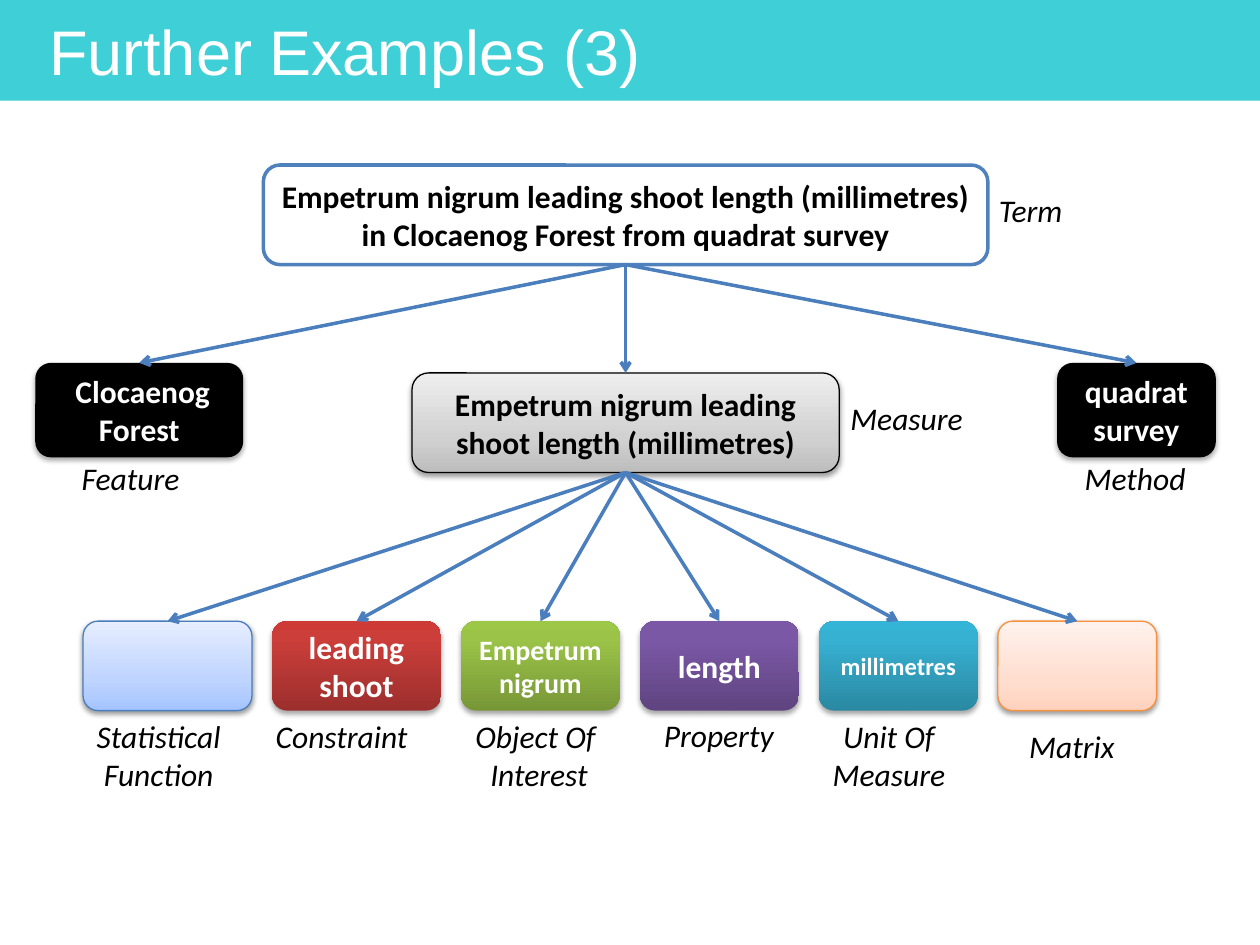
from pptx import Presentation
from pptx.dml.color import RGBColor
from pptx.enum.shapes import MSO_CONNECTOR, MSO_SHAPE
from pptx.enum.text import MSO_ANCHOR, MSO_AUTO_SIZE, PP_ALIGN
from pptx.oxml.ns import qn
from pptx.util import Inches, Pt
from lxml.etree import SubElement

TOP, BOTTOM = 0, 2
ARROW_BLUE = "4B7EBC"
GREY = [(0, "BDBDBD"), (35, "D1D1D1"), (100, "EEEEEE")]
COMPONENT_GAP = 0.16
# text, size, width, gradient, outline, label, label offset, label width
COMPONENTS = [
    ("", 18, 1.34, [(0, "A4C4FF"), (35, "BFD4FF"), (100, "E6EEFF")], ARROW_BLUE,
     ["Statistical", "Function"], (0, 0.71), 1.2),
    ("leading shoot", 18, 1.34, [(0, "9C2F2D"), (80, "CB3E3A"), (100, "CE3B37")], None,
     ["Constraint"], (-0.07, 0.71), 1.26),
    ("Empetrum nigrum", 16, 1.26, [(0, "779737"), (80, "9BC348"), (100, "9DC746")], None,
     ["Object Of", " Interest"], (0, 0.71), 1.18),
    ("length", 18, 1.26, [(0, "5F4480"), (80, "7B58A6"), (100, "7C57A8")], None,
     ["Property"], (0.09, 0.7), 1.09),
    ("millimetres", 14, 1.26, [(0, "2A88A2"), (80, "37B1D2"), (100, "34B4D6")], None,
     ["Unit Of", "Measure"], (0, 0.71), 1.11),
    ("", 18, 1.26, [(0, "FFD2BD"), (35, "FFDED0"), (100, "FFF2ED")], "F69240",
     ["Matrix"], (0.15, 0.79), 0.88),
]


def color(value):
    return RGBColor.from_string(value)


def set_font(paragraph, size, value, name="Calibri", bold=False, italic=False):
    font = paragraph.font
    font.name, font.size, font.bold, font.italic = name, Pt(size), bold, italic
    font.color.rgb = color(value)


def set_fill(shape, fill):
    if isinstance(fill, str):
        shape.fill.solid()
        shape.fill.fore_color.rgb = color(fill)
        return
    shape.fill.gradient()
    shape.fill.gradient_angle = 90
    stops = shape._element.spPr.find(".//" + qn("a:gsLst"))
    for stop in list(stops):
        stops.remove(stop)
    for position, value in fill:
        stop = SubElement(stops, qn("a:gs"), pos=str(position * 1000))
        SubElement(stop, qn("a:srgbClr"), val=value)


def set_line(shape, value, width):
    if value is None:
        shape.line.fill.background()
    else:
        shape.line.color.rgb = color(value)
        shape.line.width = Pt(width)


def add_shadow(shape, opacity, distance):
    effects = shape._element.spPr.find(qn("a:effectLst"))
    shadow = SubElement(effects, qn("a:outerShdw"), blurRad=str(Pt(3.1)),
                        dist=str(Pt(distance)), dir="5400000", rotWithShape="0")
    shadow_color = SubElement(shadow, qn("a:srgbClr"), val="000000")
    SubElement(shadow_color, qn("a:alpha"), val=str(opacity * 1000))


def add_box(slide, box, text, fill, outline=None, width=0.75, size=18,
            text_color="FFFFFF", shadow=True):
    shape = slide.shapes.add_shape(MSO_SHAPE.ROUNDED_RECTANGLE, *map(Inches, box))
    set_fill(shape, fill)
    set_line(shape, outline, width)
    shape.shadow.inherit = False
    if shadow:
        add_shadow(shape, *((38, 1.6) if outline else (35, 1.8)))
    if text:
        shape.text_frame.text = text
        paragraph = shape.text_frame.paragraphs[0]
        paragraph.alignment = PP_ALIGN.CENTER
        set_font(paragraph, size, text_color, bold=True)
    return shape


def add_label(slide, left, top, width, lines, wrap=False):
    height = 0.4 if len(lines) == 1 else 0.71
    shape = slide.shapes.add_textbox(*map(Inches, (left, top, width, height)))
    frame = shape.text_frame
    frame.text = "\n".join(lines)
    frame.word_wrap = wrap
    frame.auto_size = MSO_AUTO_SIZE.SHAPE_TO_FIT_TEXT
    for paragraph in frame.paragraphs:
        if len(lines) > 1:
            paragraph.alignment = PP_ALIGN.CENTER
        set_font(paragraph, 18, "000000", italic=True)


def add_arrow(slide, parent, child):
    connector = slide.shapes.add_connector(MSO_CONNECTOR.STRAIGHT, 0, 0, 0, 0)
    connector.begin_connect(parent, BOTTOM)
    connector.end_connect(child, TOP)
    set_line(connector, ARROW_BLUE, 2)
    properties = connector._element.spPr
    SubElement(properties.find(qn("a:ln")), qn("a:tailEnd"), type="arrow")
    SubElement(properties, qn("a:effectLst"))


def add_title(slide, box, text):
    bar = slide.shapes.add_shape(MSO_SHAPE.RECTANGLE, *map(Inches, box))
    set_fill(bar, "3FCFD6")
    set_line(bar, None, 0)
    bar.shadow.inherit = False
    frame = bar.text_frame
    frame.margin_left = frame.margin_right = Inches(0.39)
    frame.margin_top = frame.margin_bottom = 0
    frame.vertical_anchor = MSO_ANCHOR.MIDDLE
    frame.text = text
    frame.paragraphs[0].alignment = PP_ALIGN.LEFT
    set_font(frame.paragraphs[0], 36, "FFFFFF", "Arial")


def add_term_level(slide, left, top):
    term = add_box(slide, (left + 1.81, top, 5.75, 0.79),
                   "Empetrum nigrum leading shoot length (millimetres) "
                   "in Clocaenog Forest from quadrat survey",
                   "FFFFFF", "4F81BD", 2, text_color="000000", shadow=False)
    add_label(slide, left + 7.55, top + 0.16, 1.42, ["Term"], wrap=True)
    feature = add_box(slide, (left, top + 1.57, 1.65, 0.75), " Clocaenog Forest", "000000")
    add_label(slide, left + 0.27, top + 2.28, 0.99, ["Feature"])
    measure = add_box(slide, (left + 2.99, top + 1.65, 3.39, 0.79),
                      "Empetrum nigrum leading shoot length (millimetres)",
                      GREY, "000000", text_color="000000")
    add_label(slide, left + 6.37, top + 1.81, 1.42, ["Measure"], wrap=True)
    method = add_box(slide, (left + 8.11, top + 1.57, 1.26, 0.75), "quadrat survey", "000000")
    add_label(slide, left + 8.23, top + 2.28, 1.01, ["Method"])
    for child in (feature, measure, method):
        add_arrow(slide, term, child)
    return measure


def add_component_level(slide, left, top, measure):
    for text, size, width, fill, outline, label, (shift, drop), label_width in COMPONENTS:
        component = add_box(slide, (left, top, width, 0.71), text, fill, outline, size=size)
        add_label(slide, left + shift, top + drop, label_width, label)
        add_arrow(slide, measure, component)
        left += width + COMPONENT_GAP


def main():
    presentation = Presentation()
    presentation.slide_width, presentation.slide_height = Inches(10), Inches(7.5)
    slide = presentation.slides.add_slide(presentation.slide_layouts[6])
    add_title(slide, (0, 0, 10, 0.8), "Further Examples (3)")
    measure = add_term_level(slide, 0.28, 1.31)
    add_component_level(slide, 0.66, 4.93, measure)
    presentation.save("out.pptx")


if __name__ == "__main__":
    main()
